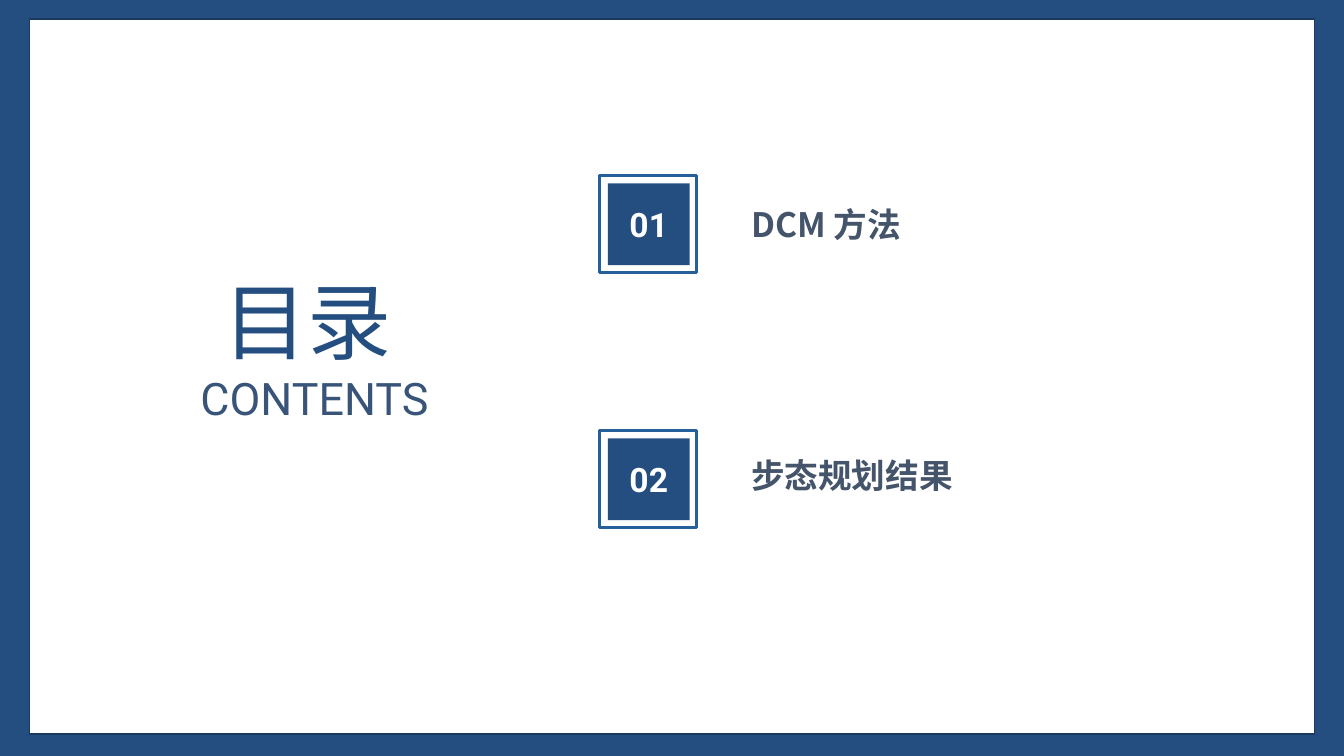
from dataclasses import dataclass
from pptx import Presentation
from pptx.dml.color import RGBColor
from pptx.enum.shapes import MSO_SHAPE
from pptx.enum.text import MSO_ANCHOR, MSO_AUTO_SIZE, PP_ALIGN
from pptx.oxml import parse_xml
from pptx.oxml.ns import nsdecls, qn
from pptx.util import Inches, Pt


@dataclass(frozen=True)
class Theme:
    navy: str = "244E7F"
    edge: str = "1B3A5E"
    ring: str = "26609A"
    slate: str = "385479"
    grey: str = "44546A"
    white: str = "FFFFFF"
    han: str = "Noto Sans CJK SC"
    latin: str = "Roboto"
    title: int = 60
    sub: int = 32
    item: int = 24


class Page:
    def __init__(self, slide, theme):
        self.slide, self.theme = slide, theme
        fill = slide.background.fill
        fill.solid()
        fill.fore_color.rgb = RGBColor.from_string(theme.navy)

    def rect(self, box, fill=None, line=None, width=1, parent=None):
        shapes = (parent or self.slide).shapes
        shape = shapes.add_shape(MSO_SHAPE.RECTANGLE, *map(Inches, box))
        shape.shadow.inherit = False
        if fill:
            shape.fill.solid()
            shape.fill.fore_color.rgb = RGBColor.from_string(fill)
        else:
            shape.fill.background()
        if line:
            shape.line.color.rgb = RGBColor.from_string(line)
            shape.line.width = Pt(width)
        else:
            shape.line.fill.background()
        return shape

    def label(self, shape, text, size, color, face, bold=False,
              align=PP_ALIGN.LEFT, wrap=True):
        frame = shape.text_frame
        frame.text = text
        frame.word_wrap = wrap
        frame.auto_size = MSO_AUTO_SIZE.NONE
        frame.vertical_anchor = MSO_ANCHOR.TOP
        para = frame.paragraphs[0]
        para.alignment = align
        para.space_before = Pt(0)
        font = para.font
        font.size, font.bold, font.name = Pt(size), bold, face
        font.color.rgb = RGBColor.from_string(color)
        # East Asian face, beside the Latin one
        props = para._p.get_or_add_pPr()
        latin = props.find(qn("a:defRPr")).find(qn("a:latin"))
        latin.addnext(parse_xml(f'<a:ea {nsdecls("a")} typeface="{face}"/>'))
        return props

    def text(self, box, *args, parent=None, **style):
        shapes = (parent or self.slide).shapes
        self.label(shapes.add_textbox(*map(Inches, box)), *args, **style)

    def holder(self, index, box, *args, **style):
        shape = self.slide.placeholders[index]
        shape.left, shape.top, shape.width, shape.height = map(Inches, box)
        props = self.label(shape, *args, **style)
        # No bullet and no hanging indent
        props.set("marL", "0")
        props.set("indent", "0")
        mark = parse_xml(f'<a:buNone {nsdecls("a")}/>')
        props.find(qn("a:defRPr")).addprevious(mark)

    def badge(self, top, number):
        look = self.theme
        group = self.slide.shapes.add_group_shape()
        self.rect((6.03, top + 0.08, 0.81, 0.81), look.navy, parent=group)
        self.rect((5.95, top, 0.96, 0.96), line=look.ring, width=2.25,
                  parent=group)
        self.text((6.05, top + 0.23, 0.77, 0.5), number, look.item, look.white,
                  look.latin, bold=True, align=PP_ALIGN.CENTER, parent=group)


deck = Presentation()
deck.slide_width, deck.slide_height = Inches(13.33), Inches(7.5)
look = Theme()
# Two Content layout: a title and one body for each entry
page = Page(deck.slides.add_slide(deck.slide_layouts[3]), look)

# White panel, behind the placeholders
panel = page.rect((0.29, 0.19, 12.75, 7.09), look.white, look.edge)
page.slide.shapes._spTree.insert(2, panel._element)

# Heading
page.holder(0, (2.12, 2.62, 2.12, 1.11), "目录", look.title, look.navy,
            look.han)
page.text((1.87, 3.63, 2.5, 0.64), "CONTENTS", look.sub, look.slate,
          look.latin, align=PP_ALIGN.CENTER, wrap=False)

# Numbered entries: badge top, text top, wording
entries = [(1.74, 1.97, "DCM 方法"), (4.27, 4.46, "步态规划结果")]
for num, (top, line, name) in enumerate(entries, 1):
    page.badge(top, f"{num:02d}")
    page.holder(num, (7.35, line, 3.62, 0.5), name, look.item, look.grey,
                look.han, bold=True)

deck.save("out.pptx")
